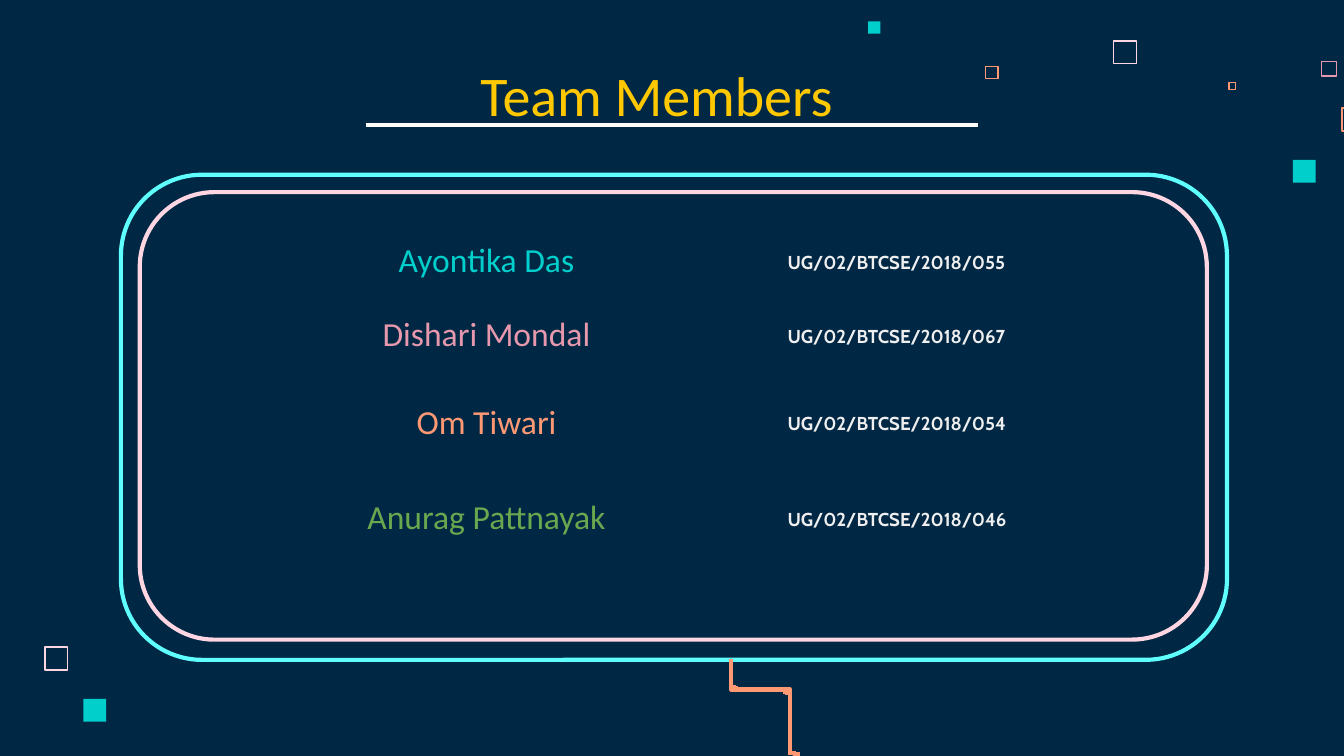
from dataclasses import dataclass

from lxml.etree import SubElement
from pptx import Presentation
from pptx.dml.color import RGBColor
from pptx.enum.shapes import MSO_CONNECTOR as Connector
from pptx.enum.shapes import MSO_SHAPE as Preset
from pptx.enum.text import MSO_ANCHOR as Anchor
from pptx.enum.text import PP_ALIGN as Align
from pptx.oxml.ns import qn
from pptx.util import Inches, Pt

TEAL, ORANGE, PINK, ROSE = "00CFCC", "FF9973", "FFD6E1", "E898AC"
NO_GRID_STYLE = "{2D5ABB26-0587-4C30-8999-92F81FD0307C}"
INSET = 0.1
FRAME_WIDTH = 2.25


@dataclass
class Square:
    left: float
    top: float
    side: float
    color: str
    border: float = 0


@dataclass
class Panel:
    left: float
    top: float
    width: float
    height: float
    color: str


@dataclass
class Member:
    name: str
    roll: str
    color: str
    row_height: float


SQUARES = [
    Square(8.28, 0.3, 0.18, PINK, 0.01),
    Square(9.83, 0.45, 0.12, ROSE, 0.01),
    Square(9.14, 0.61, 0.06, ORANGE, 0.01),
    Square(9.98, 0.8, 0.18, ORANGE, 0.01),
    Square(9.62, 1.19, 0.17, TEAL),
    Square(7.33, 0.49, 0.1, ORANGE, 0.01),
    Square(6.46, 0.16, 0.09, TEAL),
    Square(0.33, 4.81, 0.18, PINK, 0.01),
    Square(0.62, 5.2, 0.17, TEAL),
]
PANELS = [
    Panel(0.9, 1.3, 8.23, 3.61, "5EFFFD"),
    Panel(1.04, 1.43, 7.94, 3.33, PINK),
]
MEMBERS = [
    Member("Ayontika Das", "055", TEAL, 0.51),
    Member("Dishari Mondal", "067", ROSE, 0.59),
    Member("Om Tiwari", "054", ORANGE, 0.71),
    Member("Anurag Pattnayak", "046", "6AA84F", 0.71),
]
CIRCUIT = [
    [(5.44, 4.9), (5.44, 5.13), (5.88, 5.13), (5.88, 5.62)],
    [(5.91, 5.59), (5.91, 5.61), (5.95, 5.61)],
    [(5.83, 5.15), (5.86, 5.15), (5.86, 5.17)],
    [(5.46, 5.1), (5.46, 5.12), (5.49, 5.12)],
]


def rgb(code: str) -> RGBColor:
    return RGBColor.from_string(code)


def outline(shape, color: str, width: float) -> None:
    shape.shadow.inherit = False
    shape.fill.background()
    shape.line.color.rgb = rgb(color)
    shape.line.width = Pt(width)


def draw_square(slide, square: Square) -> None:
    shift = square.border / 2
    side = Inches(square.side - square.border)
    box = slide.shapes.add_shape(
        Preset.RECTANGLE, Inches(square.left + shift), Inches(square.top + shift), side, side
    )
    if square.border:
        outline(box, square.color, square.border * 72)
    else:
        box.shadow.inherit = False
        box.fill.solid()
        box.fill.fore_color.rgb = rgb(square.color)
        box.line.fill.background()


def draw_panel(slide, panel: Panel) -> None:
    frame = slide.shapes.add_shape(
        Preset.ROUNDED_RECTANGLE,
        Inches(panel.left), Inches(panel.top), Inches(panel.width), Inches(panel.height),
    )
    frame.adjustments[0] = 0.167
    outline(frame, panel.color, FRAME_WIDTH)


def write(paragraph, text: str, color: str, paragraph_format: dict, font_format: dict) -> None:
    run = paragraph.add_run()
    run.text = text
    run.font.color.rgb = rgb(color)
    for target, values in ((paragraph, paragraph_format), (run.font, font_format)):
        for key, value in values.items():
            setattr(target, key, value)


def set_margins(holder) -> None:
    for side in ("left", "right", "top", "bottom"):
        setattr(holder, f"margin_{side}", Inches(INSET))


def draw_title(slide) -> None:
    title = slide.shapes.add_textbox(Inches(1.04), Inches(0.42), Inches(7.69), Inches(0.63))
    body = title.text_frame
    body.word_wrap = True
    body.vertical_anchor = Anchor.BOTTOM
    set_margins(body)
    write(body.paragraphs[0], "Team Members", "FFC800",
          {"alignment": Align.CENTER}, {"name": "Calibri", "size": Pt(30)})


def draw_members(slide, members: list[Member]) -> None:
    height = sum(member.row_height for member in members)
    roster = slide.shapes.add_table(
        len(members), 2, Inches(1.48), Inches(1.69), Inches(7.06), Inches(height)
    ).table
    roster.first_row = roster.horz_banding = False
    roster._tbl.tblPr.find(qn("a:tableStyleId")).text = NO_GRID_STYLE
    for column, width in zip(roster.columns, (4.28, 2.78)):
        column.width = Inches(width)
    name_style = (
        {"alignment": Align.CENTER},
        {"name": "Calibri", "size": Pt(18), "bold": False},
    )
    roll_style = (
        {"line_spacing": 1.15, "space_before": Pt(12), "space_after": Pt(12)},
        {"name": "Cabin", "size": Pt(10), "bold": True},
    )
    for row, member in zip(roster.rows, members):
        row.height = Inches(member.row_height)
        entries = (
            (member.name, member.color, name_style),
            (f"UG/02/BTCSE/2018/{member.roll}", "EFEFEF", roll_style),
        )
        for cell, (text, color, style) in zip(row.cells, entries):
            cell.fill.background()
            cell.vertical_anchor = Anchor.MIDDLE
            set_margins(cell)
            write(cell.text_frame.paragraphs[0], text, color, *style)


def draw_trace(slide, points: list[tuple[float, float]]) -> None:
    corners = [(Inches(x), Inches(y)) for x, y in points]
    builder = slide.shapes.build_freeform(*corners[0])
    builder.add_line_segments(corners[1:], close=False)
    outline(builder.convert_to_shape(), ORANGE, FRAME_WIDTH)


def draw_underline(slide) -> None:
    underline = slide.shapes.add_connector(
        Connector.STRAIGHT, Inches(2.72), Inches(0.93), Inches(7.28), Inches(0.93)
    )
    underline.line.color.rgb = rgb("FFFFFF")
    underline.line.width = Pt(FRAME_WIDTH)
    SubElement(underline._element.spPr, qn("a:effectLst"))


def main() -> None:
    deck = Presentation()
    deck.slide_width = Inches(10)
    deck.slide_height = deck.slide_width * 9 // 16
    slide = deck.slides.add_slide(deck.slide_layouts[6])
    slide.background.fill.solid()
    slide.background.fill.fore_color.rgb = rgb("002845")
    for square in SQUARES:
        draw_square(slide, square)
    for panel in PANELS:
        draw_panel(slide, panel)
    draw_title(slide)
    draw_members(slide, MEMBERS)
    for points in CIRCUIT:
        draw_trace(slide, points)
    draw_underline(slide)
    deck.save("out.pptx")


if __name__ == "__main__":
    main()
